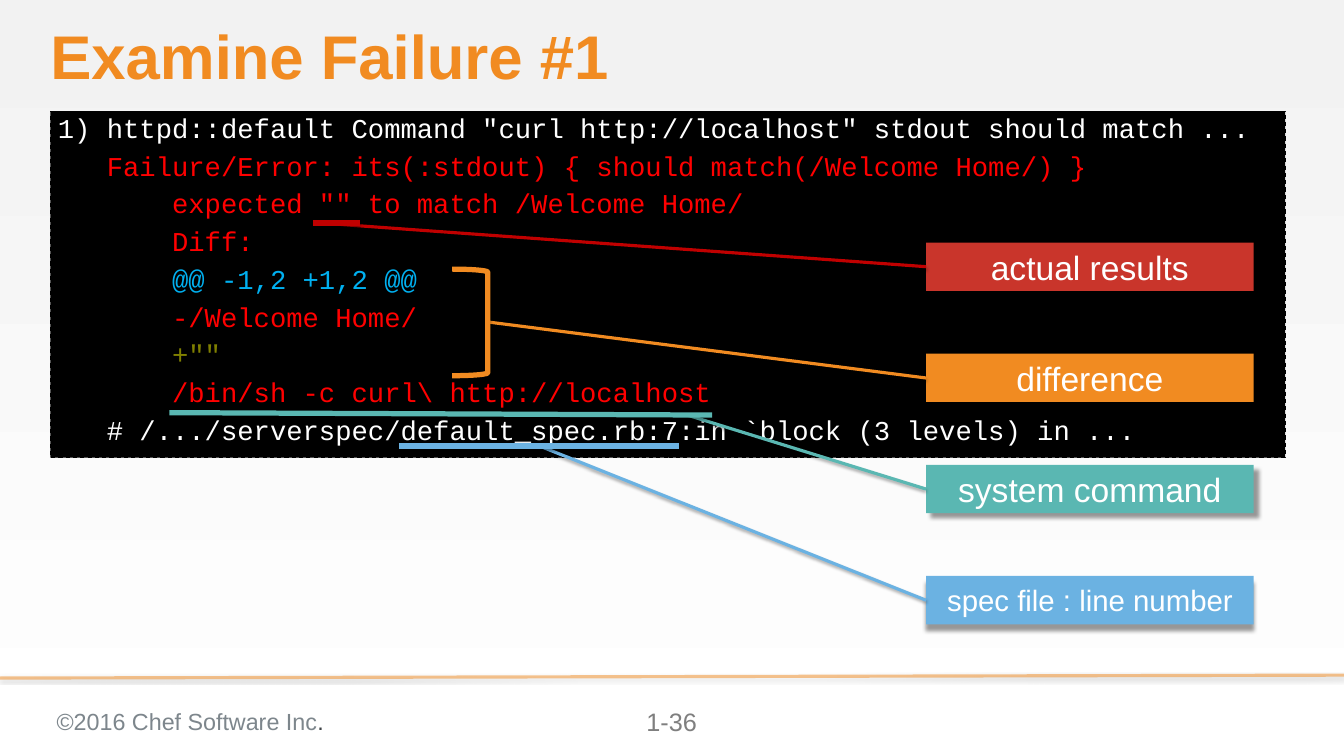
from lxml import etree
from pptx import Presentation
from pptx.dml.color import RGBColor
from pptx.enum.dml import MSO_LINE
from pptx.enum.shapes import MSO_CONNECTOR, MSO_SHAPE
from pptx.enum.text import MSO_ANCHOR, PP_ALIGN
from pptx.oxml.ns import qn
from pptx.util import Pt

STRAIGHT = MSO_CONNECTOR.STRAIGHT
RECTANGLE, RIGHT_BRACKET = MSO_SHAPE.RECTANGLE, MSO_SHAPE.RIGHT_BRACKET
DASH = MSO_LINE.DASH
LEFT, CENTER = PP_ALIGN.LEFT, PP_ALIGN.CENTER
TOP, MIDDLE = MSO_ANCHOR.TOP, MSO_ANCHOR.MIDDLE

WHITE = RGBColor(0xFF, 0xFF, 0xFF)
BLACK = RGBColor(0x00, 0x00, 0x00)
PALE_GRAY = RGBColor(0xF2, 0xF2, 0xF2)
FOOTER_GRAY = RGBColor(0x7D, 0x86, 0x8C)
DARK_GRAY = RGBColor(0x3E, 0x43, 0x46)
NUMBER_GRAY = RGBColor(0x7F, 0x7F, 0x7F)
ORANGE = RGBColor(0xF1, 0x8B, 0x21)
BRICK = RGBColor(0xC9, 0x35, 0x2B)
DARK_RED = RGBColor(0xC0, 0x00, 0x00)
TEAL = RGBColor(0x5A, 0xB7, 0xB2)
SKY = RGBColor(0x6B, 0xB2, 0xE2)
RED = RGBColor(0xFF, 0x00, 0x00)
CYAN = RGBColor(0x00, 0xB0, 0xF0)
OLIVE = RGBColor(0x80, 0x80, 0x00)


def write(shape, paragraphs, size, font="Arial", bold=False, align=LEFT,
          anchor=TOP, inset_x=0, inset_y=0, spacing=1.0, before=0):
    """Fill a shape with paragraphs, each a list of (text, colour) runs."""
    frame = shape.text_frame
    frame.word_wrap = True
    frame.vertical_anchor = anchor
    frame.margin_left = frame.margin_right = Pt(inset_x)
    frame.margin_top = frame.margin_bottom = Pt(inset_y)
    for index, runs in enumerate(paragraphs):
        paragraph = frame.add_paragraph() if index else frame.paragraphs[0]
        paragraph.alignment = align
        paragraph.line_spacing = spacing
        paragraph.space_before = Pt(before if index else 0)
        for text, color in runs:
            run = paragraph.add_run()
            run.text = text
            run.font.name, run.font.size, run.font.bold = font, Pt(size), bold
            run.font.color.rgb = color


def add_shadow(shape, opacity=35, blur=3.1, distance=1.8, angle=90):
    """Give a finished shape or connector a soft black shadow."""
    effects = etree.SubElement(shape._element.spPr, qn("a:effectLst"))
    shadow = etree.SubElement(effects, qn("a:outerShdw"), blurRad=str(Pt(blur)),
                              dist=str(Pt(distance)), dir=str(angle * 60000),
                              rotWithShape="0")
    color = etree.SubElement(shadow, qn("a:srgbClr"), val="000000")
    etree.SubElement(color, qn("a:alpha"), val=str(opacity * 1000))


presentation = Presentation()
presentation.slide_width, presentation.slide_height = Pt(1280), Pt(720)
slide = presentation.slides.add_slide(presentation.slide_layouts[5])
shapes = slide.shapes

# Background
background = slide.background.fill
background.gradient()
background.gradient_angle = 270
for stop, color in zip(background.gradient_stops, (PALE_GRAY, WHITE)):
    stop.color.rgb = color

# Footer
rule = shapes.add_connector(STRAIGHT, Pt(1280), Pt(643), Pt(0), Pt(645.8))
rule.line.color.rgb, rule.line.width = ORANGE, Pt(3)
rule_color = rule._element.spPr.find(".//" + qn("a:srgbClr"))
etree.SubElement(rule_color, qn("a:alpha"), val="50000")
add_shadow(rule)
copyright_box = shapes.add_textbox(Pt(46.8), Pt(666), Pt(425), Pt(37.5))
write(copyright_box, [[("©2016 Chef Software Inc", FOOTER_GRAY), (".", DARK_GRAY)]],
      22.2, inset_x=7.2, inset_y=7.2)
number_box = shapes.add_textbox(Pt(583.2), Pt(665.5), Pt(113), Pt(41))
write(number_box, [[("1-36", NUMBER_GRAY)]], 24, align=CENTER, inset_x=7.2, inset_y=7.2)

# Title
title = shapes.title
title.left, title.top, title.width, title.height = Pt(48), Pt(24), Pt(1176), Pt(65.5)
write(title, [[("Examine Failure #1", ORANGE)]], 58.7, bold=True, anchor=MIDDLE,
      spacing=0.9)

# Terminal output
terminal = shapes.add_shape(RECTANGLE, Pt(48), Pt(105.8), Pt(1176), Pt(330))
terminal.shadow.inherit = False
terminal.fill.solid()
terminal.fill.fore_color.rgb = BLACK
terminal.line.color.rgb, terminal.line.width = BLACK, Pt(1)
terminal.line.dash_style = DASH
output = [
    ('1) httpd::default Command "curl http://localhost" stdout should match ...', WHITE),
    ("   Failure/Error: its(:stdout) { should match(/Welcome Home/) }", RED),
    ('       expected "" to match /Welcome Home/', RED),
    ("       Diff:", RED),
    ("       @@ -1,2 +1,2 @@", CYAN),
    ("       -/Welcome Home/", RED),
    ('       +""', OLIVE),
    ("       /bin/sh -c curl\\ http://localhost", RED),
    ("   # /.../serverspec/default_spec.rb:7:in `block (3 levels) in ...", WHITE),
]
write(terminal, [[line] for line in output], 25.9, font="Courier New", inset_x=7.2,
      inset_y=3.6, spacing=0.9, before=8)

# Labels
labels = [
    ("actual results", BRICK, 32, 90),
    ("difference", ORANGE, 32, 90),
    ("system command", TEAL, 32, 45),
    ("spec file : line number", SKY, 28, 90),
]
for row, (text, color, size, angle) in enumerate(labels):
    label = shapes.add_shape(RECTANGLE, Pt(882), Pt(231 + row * 105.85), Pt(312), Pt(46))
    label.fill.solid()
    label.fill.fore_color.rgb = color
    label.line.fill.background()
    add_shadow(label, opacity=40, blur=4, distance=6, angle=angle)
    write(label, [[(text, WHITE)]], size, align=CENTER, anchor=MIDDLE)

# Leaders to the labels, then underlines
lines = [
    (324.7, 213.8, 882, 254, DARK_RED, 3),
    (465, 306.7, 882, 360, ORANGE, 3),
    (654.5, 395.3, 882, 465.8, TEAL, 3),
    (514, 424.8, 882, 571.7, SKY, 3),
    (298, 212.4, 342.7, 212.4, DARK_RED, 5),
    (161.3, 393, 678.2, 395.3, TEAL, 5),
    (380.2, 424.8, 646.6, 424.8, SKY, 5),
]
for x1, y1, x2, y2, color, width in lines:
    line = shapes.add_connector(STRAIGHT, Pt(x1), Pt(y1), Pt(x2), Pt(y2))
    line.line.color.rgb, line.line.width = color, Pt(width)
    add_shadow(line)

# Bracket around the difference
bracket = shapes.add_shape(RIGHT_BRACKET, Pt(430.6), Pt(256.3), Pt(34), Pt(101.5))
bracket.fill.background()
bracket.line.color.rgb, bracket.line.width = ORANGE, Pt(5)
add_shadow(bracket)

presentation.save("out.pptx")
